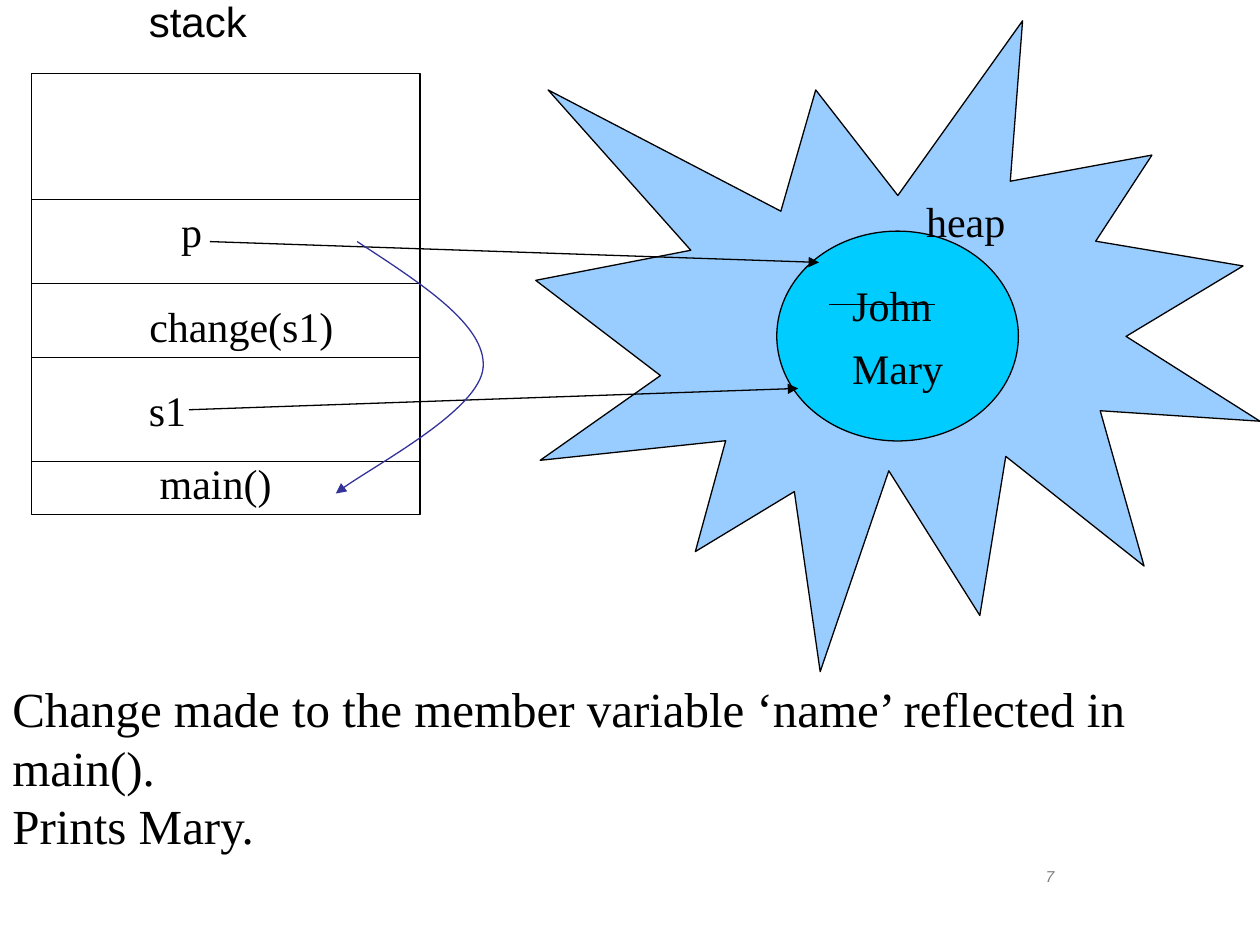
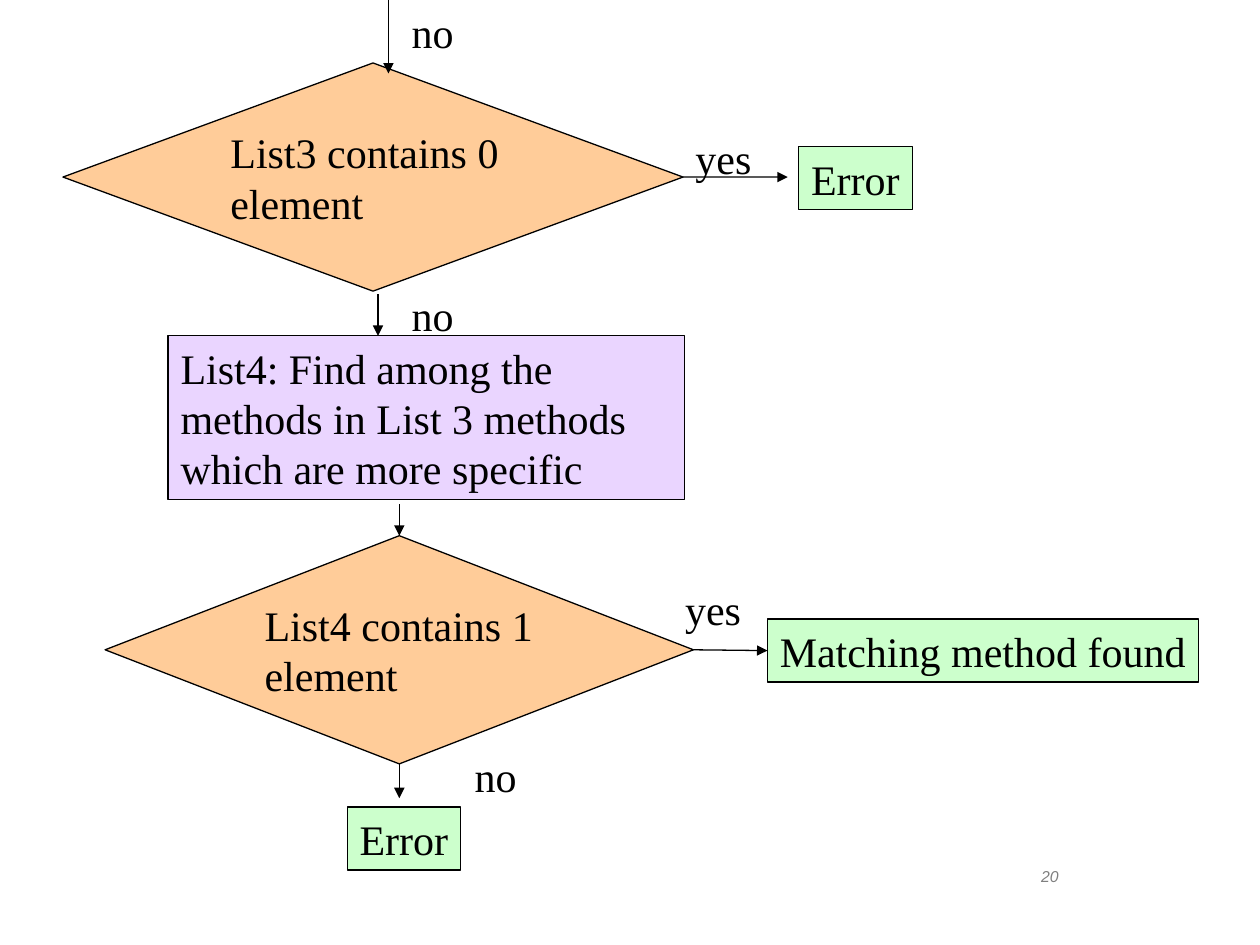
from lxml import etree
from pptx import Presentation
from pptx.dml.color import RGBColor
from pptx.enum.shapes import MSO_CONNECTOR, MSO_SHAPE
from pptx.enum.text import MSO_ANCHOR, MSO_AUTO_SIZE, PP_ALIGN
from pptx.oxml.ns import qn
from pptx.util import Cm, Pt

STRAIGHT = MSO_CONNECTOR.STRAIGHT
RECTANGLE, OVAL = MSO_SHAPE.RECTANGLE, MSO_SHAPE.OVAL
BURST, DECISION = MSO_SHAPE.EXPLOSION1, MSO_SHAPE.FLOWCHART_DECISION
TOP, MIDDLE = MSO_ANCHOR.TOP, MSO_ANCHOR.MIDDLE
GROW, FIXED = MSO_AUTO_SIZE.SHAPE_TO_FIT_TEXT, MSO_AUTO_SIZE.NONE
LEFT, CENTER = PP_ALIGN.LEFT, PP_ALIGN.CENTER
SITE_TOP, SITE_LEFT, SITE_BOTTOM, SITE_RIGHT = range(4)

SERIF, SANS = "Times New Roman", "Arial"
LINE_WIDTH = Pt(0.75)
COLORS = {
    "ink": "000000",
    "page_number": "808080",
    "heap": "99CCFF",
    "object": "00CCFF",
    "return": "333399",
    "decision": "FFCC99",
    "step": "EAD5FF",
    "result": "CCFFCC",
}


def rgb(name):
    return RGBColor.from_string(COLORS[name])


def write(shape, text, size=24, font=SERIF, color="ink", wrap=True,
          anchor=TOP, align=LEFT, italic=False, fit=GROW):
    frame = shape.text_frame
    frame.text = text
    frame.word_wrap = wrap
    frame.auto_size = fit
    frame.vertical_anchor = anchor
    for paragraph in frame.paragraphs:
        paragraph.alignment = align
        for run in paragraph.runs:
            run.font.size = Pt(size)
            run.font.name = font
            run.font.italic = italic
            run.font.color.rgb = rgb(color)


def add_label(slide, text, x, y, width, height=1.27, wrap=False, **style):
    box = slide.shapes.add_textbox(Cm(x), Cm(y), Cm(width), Cm(height))
    write(box, text, wrap=wrap, **style)


def style_outline(shape, color="ink"):
    shape.line.color.rgb = rgb(color)
    shape.line.width = LINE_WIDTH


def add_figure(slide, kind, x, y, width, height, fill=None):
    figure = slide.shapes.add_shape(kind, Cm(x), Cm(y), Cm(width), Cm(height))
    figure.shadow.inherit = False
    if fill:
        figure.fill.solid()
        figure.fill.fore_color.rgb = rgb(fill)
    else:
        figure.fill.background()
    style_outline(figure)
    return figure


def add_decision(slide, text, x, y, width):
    diamond = add_figure(slide, DECISION, x, y, width, 4.6, "decision")
    write(diamond, text, anchor=MIDDLE)
    return diamond


def add_result(slide, text, x, y, width):
    result = add_figure(slide, RECTANGLE, x, y, width, 1.27, "result")
    write(result, text, wrap=False)
    return result


def add_arrowhead(shape):
    etree.SubElement(shape.line._get_or_add_ln(), qn("a:tailEnd"), type="triangle")


def add_line(slide, x1, y1, x2, y2, arrow=False):
    line = slide.shapes.add_connector(STRAIGHT, Cm(x1), Cm(y1), Cm(x2), Cm(y2))
    style_outline(line)
    if arrow:
        add_arrowhead(line)
    etree.SubElement(line._element.spPr, qn("a:effectLst"))
    return line


def add_curved_arrow(slide, start, controls, color):
    """Draw Bezier segments; each takes three points of controls."""
    builder = slide.shapes.build_freeform(Cm(start[0]), Cm(start[1]))
    builder.add_line_segments([(Cm(x), Cm(y)) for x, y in controls], close=False)
    curve = builder.convert_to_shape()
    outline = next(curve._element.iter(qn("a:path")))
    segments = outline.findall(qn("a:lnTo"))
    for i in range(0, len(segments), 3):
        bezier = etree.SubElement(outline, qn("a:cubicBezTo"))
        for segment in segments[i:i + 3]:
            bezier.append(segment[0])
            outline.remove(segment)
    curve.shadow.inherit = False
    curve.fill.background()
    style_outline(curve, color)
    add_arrowhead(curve)


def add_slide(deck, number):
    slide = deck.slides.add_slide(deck.slide_layouts[6])
    add_label(slide, number, 18.2, 17.35, 5.93, 1.32, wrap=True, size=9, font=SANS,
              color="page_number", align=CENTER, italic=True, fit=FIXED)
    return slide


def build_memory_slide(deck):
    slide = add_slide(deck, "7")

    # Stack and its frames
    add_label(slide, "stack", 2.75, -0.21, 3.18, wrap=True, font=SANS)
    add_figure(slide, RECTANGLE, 0.64, 1.48, 7.83, 8.89)
    for divider in (4.02, 5.72, 7.2, 9.31):
        add_line(slide, 0.64, divider, 8.47, divider)
    for text, x, y, width in (
        ("p", 3.4, 4.02, 0.95),
        ("change(s1)", 2.76, 5.93, 4.3),
        ("s1", 2.75, 7.62, 1.48),
        ("main()", 2.97, 9.1, 2.82),
    ):
        add_label(slide, text, x, y, width)

    # Heap with the shared object
    add_figure(slide, BURST, 10.8, 0.42, 14.6, 13.12, "heap")
    add_figure(slide, OVAL, 15.66, 4.66, 4.87, 4.23, "object")
    add_label(slide, "heap", 18.42, 3.81, 2.2)
    add_label(slide, "John", 16.93, 5.5, 2.2)
    add_label(slide, "Mary", 16.93, 6.77, 2.45)
    add_line(slide, 16.72, 6.14, 18.84, 6.14)

    # References and return to the caller
    add_line(slide, 3.81, 8.26, 16.09, 7.83, arrow=True)
    add_line(slide, 4.23, 4.87, 16.51, 5.29, arrow=True)
    add_curved_arrow(slide, (7.2, 4.87), [
        (8.5, 5.72), (9.81, 6.56), (9.74, 7.41),
        (9.67, 8.26), (7.27, 9.53), (6.77, 9.95),
    ], "return")

    # Conclusion
    add_label(slide, "Change made to the member variable ‘name’ reflected in main().\n"
              "Prints Mary.", 0, 13.55, 24.13, 3.81, wrap=True, size=28)


def build_method_lookup_slide(deck):
    slide = add_slide(deck, "20")

    # Steps of the lookup
    list3_check = add_decision(slide, "List3 contains 0 element", 1.27, 1.27, 12.5)
    list4_step = add_figure(slide, RECTANGLE, 3.39, 6.77, 10.41, 3.3, "step")
    write(list4_step, "List4: Find among the methods in List 3 methods "
          "which are more specific")
    list4_check = add_decision(slide, "List4 contains 1 element", 2.12, 10.8, 11.86)

    # Outcomes
    add_result(slide, "Error", 16.1, 2.96, 2.29)
    match = add_result(slide, "Matching method found", 15.47, 12.48, 8.69)
    add_result(slide, "Error", 7, 16.27, 2.29)

    # Flow
    add_line(slide, 7.83, 0, 7.83, 1.48, arrow=True)
    add_line(slide, 7.62, 5.93, 7.62, 6.77, arrow=True)
    to_error = add_line(slide, 13.77, 3.57, 15.88, 3.57, arrow=True)
    to_error.begin_connect(list3_check, SITE_RIGHT)
    to_check = add_line(slide, 8.05, 10.16, 8.05, 10.8, arrow=True)
    to_check.end_connect(list4_check, SITE_TOP)
    to_last_error = add_line(slide, 8.05, 15.4, 8.05, 16.09, arrow=True)
    to_last_error.begin_connect(list4_check, SITE_BOTTOM)
    to_match = add_line(slide, 13.98, 13.1, 15.47, 13.12, arrow=True)
    to_match.begin_connect(list4_check, SITE_RIGHT)
    to_match.end_connect(match, SITE_LEFT)

    # Answers beside the arrows
    for x, y in ((8.05, 0), (8.05, 5.72), (9.32, 15.01)):
        add_label(slide, "no", x, y, 1.4)
    for x, y in ((13.77, 2.54), (13.56, 11.63)):
        add_label(slide, "yes", x, y, 1.7)


def main():
    deck = Presentation()
    deck.slide_width, deck.slide_height = Cm(25.4), Cm(19.05)
    build_memory_slide(deck)
    build_method_lookup_slide(deck)
    deck.save("out.pptx")


if __name__ == "__main__":
    main()
